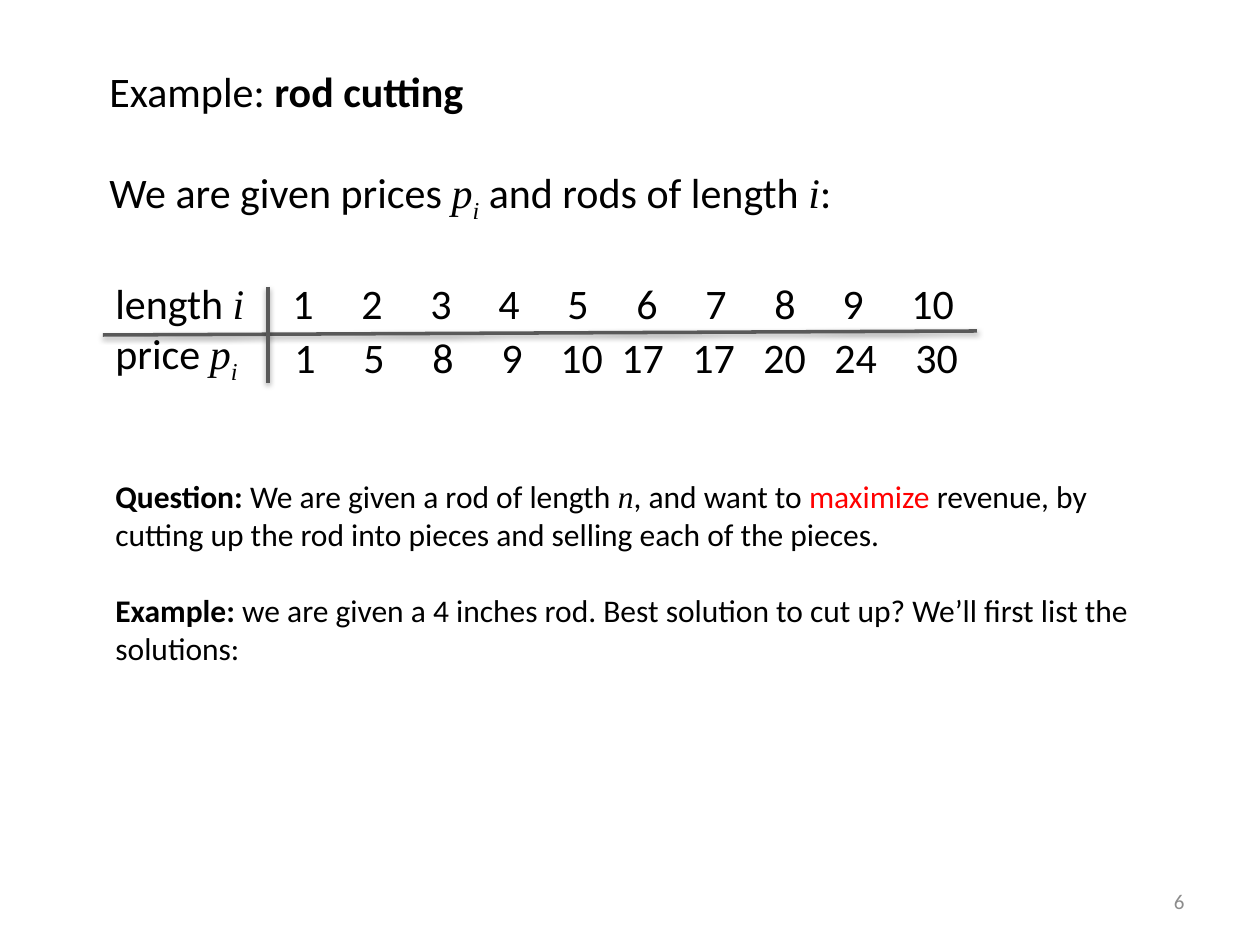
from dataclasses import dataclass

from lxml import etree
from pptx import Presentation
from pptx.dml.color import RGBColor
from pptx.enum.shapes import MSO_CONNECTOR
from pptx.enum.text import MSO_ANCHOR, PP_ALIGN
from pptx.oxml.ns import qn
from pptx.util import Emu, Pt

"""Build the rod cutting slide."""

SCALE = 914400 / 126
STRAIGHT = MSO_CONNECTOR.STRAIGHT
MIDDLE, TOP = MSO_ANCHOR.MIDDLE, MSO_ANCHOR.TOP
LEFT, RIGHT = PP_ALIGN.LEFT, PP_ALIGN.RIGHT
COLORS = {"ink": "000000", "red": "FF0000", "rule": "595959", "page": "8C8C8C"}


@dataclass(frozen=True)
class Run:
    """One stretch of text in one style."""
    text: str
    bold: bool = False
    math: bool = False
    sub: bool = False
    color: str = ""


@dataclass(frozen=True)
class Para:
    """One paragraph with its gap in points and tab stops in pixels."""
    runs: tuple[Run, ...]
    gap: float = 0
    tabs: tuple[int, ...] = ()


def px(val: float) -> Emu:
    """Turn pixels into EMU."""
    return Emu(round(val * SCALE))


def add_text(slide, box: tuple[int, int, int, int], paras: list[Para], *,
             size: int = 24, color: str = "ink", align=LEFT, anchor=TOP) -> None:
    """Add a text box of styled paragraphs."""
    frame = slide.shapes.add_textbox(*map(px, box)).text_frame
    frame.word_wrap = True
    frame.vertical_anchor = anchor
    for num, para in enumerate(paras):
        line = frame.add_paragraph() if num else frame.paragraphs[0]
        line.alignment = align
        line.space_before = Pt(para.gap)
        if para.tabs:
            stops = etree.SubElement(line._p.get_or_add_pPr(), qn("a:tabLst"))
            for tab in para.tabs:
                etree.SubElement(stops, qn("a:tab"), pos=str(px(tab)), algn="l")
        for part in para.runs:
            run = line.add_run()
            run.text = part.text
            font = run.font
            font.size = Pt(size)
            font.name = "Times New Roman" if part.math else "Calibri"
            font.bold, font.italic = part.bold, part.math
            font.color.rgb = RGBColor.from_string(COLORS[part.color or color])
            if part.sub:
                font._element.set("baseline", "-25000")


def add_rule(slide, ends: tuple[int, int, int, int]) -> None:
    """Add a grey line with a soft shadow below it."""
    rule = slide.shapes.add_connector(STRAIGHT, *map(px, ends))
    rule.line.width = Pt(2)
    rule.line.color.rgb = RGBColor.from_string(COLORS["rule"])
    effect = etree.SubElement(rule._element.spPr, qn("a:effectLst"))
    shade = etree.SubElement(effect, qn("a:outerShdw"), blurRad=str(Pt(3.1)),
                             dist=str(Pt(1.6)), dir="5400000", rotWithShape="0")
    tone = etree.SubElement(shade, qn("a:srgbClr"), val=COLORS["ink"])
    etree.SubElement(tone, qn("a:alpha"), val="38000")


def main() -> None:
    """Build and save the slide."""
    deck = Presentation()
    deck.slide_width, deck.slide_height = px(1260), px(945)
    slide = deck.slides.add_slide(deck.slide_layouts[6])

    var_i = Run("i", math=True)
    price = (Run("p", math=True), Run("i", math=True, sub=True))
    add_text(slide, (97, 59, 775, 165), [
        Para((Run("Example: "), Run("rod cutting", bold=True))),
        Para((Run("We are given prices "), *price,
              Run(" and rods of length "), var_i, Run(":")), gap=29.3),
    ])

    sizes = "".join(f"\t{num}" for num in range(1, 11))
    cols = tuple(round(177 + 68.8 * num) for num in range(10))
    add_text(slide, (103, 271, 872, 115), [
        Para((Run("length "), var_i, Run(sizes)), tabs=cols),
        Para((Run("price "), *price)),
    ])
    costs = "\t".join(map(str, (1, 5, 8, 9, 10, 17, 17, 20, 24, 30)))
    stops = (69, 138, 207, 266, 327, 398, 469, 540, 621)
    add_text(slide, (282, 325, 696, 63), [Para((Run(costs),), tabs=stops)])

    for ends in ((103, 335, 977, 331), (268, 287, 268, 383)):
        add_rule(slide, ends)

    add_text(slide, (103, 471, 1051, 242), [
        Para((Run("Question: ", bold=True), Run("We are given a rod of length "),
              Run("n", math=True), Run(", and want to "),
              Run("maximize", color="red"), Run(" revenue, by"))),
        Para((Run("cutting up the rod into pieces and selling each of the pieces."),)),
        Para((Run("Example:", bold=True),
              Run(" we are given a 4 inches rod. Best solution to cut up? "
                  "We’ll first list the")), gap=22),
        Para((Run("solutions:"),)),
    ], size=18)
    add_text(slide, (903, 876, 294, 50), [Para((Run("6"),))],
             size=12, color="page", align=RIGHT, anchor=MIDDLE)
    deck.save("out.pptx")


main()
